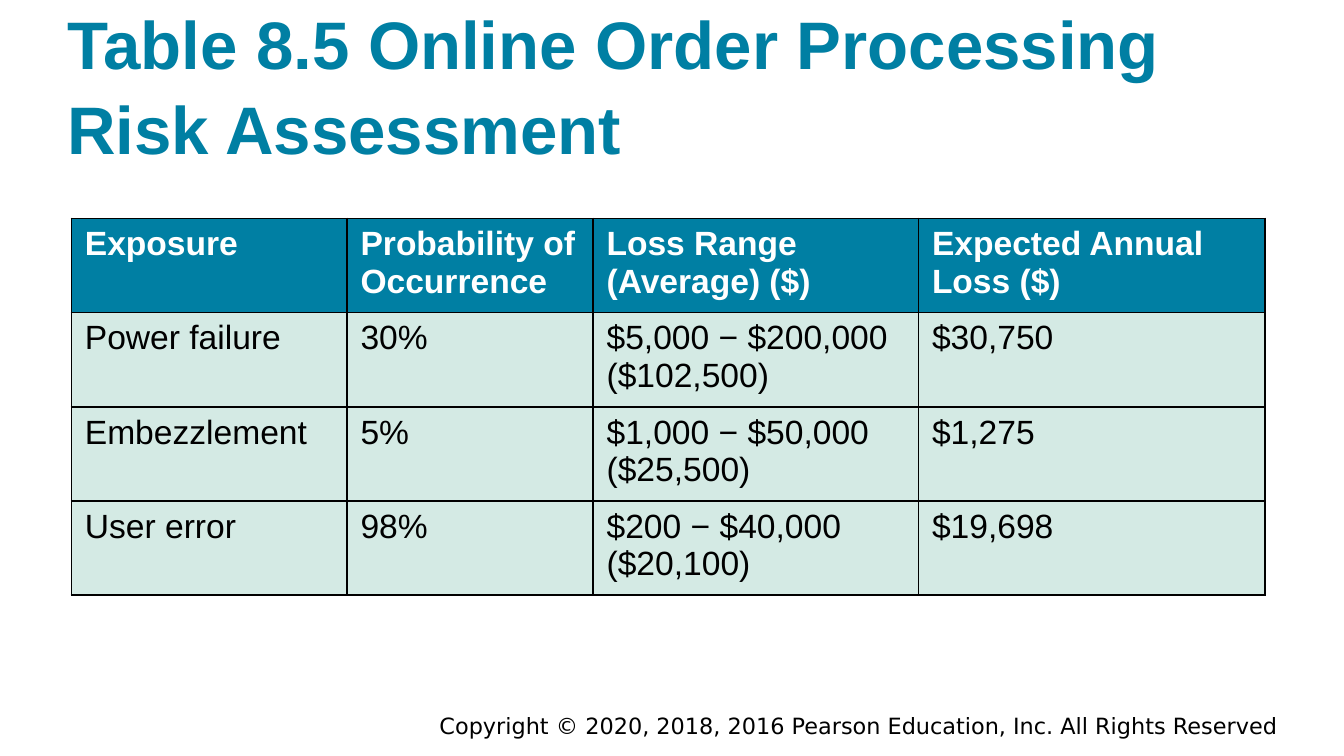
from pptx import Presentation
from pptx.dml.color import RGBColor
from pptx.enum.text import MSO_ANCHOR as Anchor, MSO_AUTO_SIZE as AutoSize, PP_ALIGN as Align
from pptx.oxml import parse_xml
from pptx.oxml.ns import nsdecls
from pptx.util import Cm, Pt


class Theme:
    teal = RGBColor.from_string("007FA3")
    mint = RGBColor.from_string("D4EAE4")
    white = RGBColor.from_string("FFFFFF")
    black = RGBColor.from_string("000000")
    title = {"name": "Arial", "size": Pt(36), "bold": True}
    header = {"name": "Arial", "size": Pt(18), "bold": True}
    body = {"name": "Arial", "size": Pt(18), "bold": False}
    copyright = {"name": "DejaVu Sans", "size": Pt(12), "bold": False}


def style_text(paragraph, font_values, color):
    for name, value in font_values.items():
        setattr(paragraph.font, name, value)
    paragraph.font.color.rgb = color


def add_borders(cell):
    properties = cell._tc.get_or_add_tcPr()
    for position, side in enumerate(("lnL", "lnR", "lnT", "lnB")):
        border = parse_xml(
            f'<a:{side} {nsdecls("a")} w="{Pt(1)}"><a:solidFill>'
            f'<a:srgbClr val="{Theme.black}"/></a:solidFill></a:{side}>'
        )
        properties.insert(position, border)


presentation = Presentation()
presentation.slide_width = Cm(25.4)
presentation.slide_height = Cm(14.29)
slide = presentation.slides.add_slide(presentation.slide_layouts[5])

title = slide.shapes.title
title_position = {"left": Cm(1.27), "top": Cm(0.1), "width": Cm(22.86), "height": Cm(3.07)}
for name, value in title_position.items():
    setattr(title, name, value)
title_format = {
    "text": "Table 8.5 Online Order Processing Risk Assessment",
    "auto_size": AutoSize.NONE,
    "vertical_anchor": Anchor.BOTTOM,
    "margin_left": 0,
    "margin_right": 0,
    "margin_top": 0,
    "margin_bottom": 0,
}
for name, value in title_format.items():
    setattr(title.text_frame, name, value)
paragraph = title.text_frame.paragraphs[0]
paragraph.alignment = Align.LEFT
paragraph.line_spacing = 1.05
style_text(paragraph, Theme.title, Theme.teal)

risk_rows = [
    ["Exposure", "Probability of Occurrence", "Loss Range (Average) ($)", "Expected Annual Loss ($)"],
    ["Power failure", "30%", "$5,000 − $200,000 ($102,500)", "$30,750"],
    ["Embezzlement", "5%", "$1,000 − $50,000 ($25,500)", "$1,275"],
    ["User error", "98%", "$200 − $40,000 ($20,100)", "$19,698"],
]
column_widths = [Cm(5.21), Cm(4.65), Cm(6.15), Cm(6.55)]
row_height = Cm(1.78)
table = slide.shapes.add_table(
    len(risk_rows), len(column_widths), Cm(1.35), Cm(4.13),
    sum(column_widths), row_height * len(risk_rows),
).table
for column, width in zip(table.columns, column_widths):
    column.width = width

for row_index, values in enumerate(risk_rows):
    table.rows[row_index].height = row_height
    is_header = row_index == 0
    for column_index, value in enumerate(values):
        cell = table.cell(row_index, column_index)
        cell.text = value
        cell.fill.solid()
        cell.fill.fore_color.rgb = Theme.teal if is_header else Theme.mint
        add_borders(cell)
        style_text(
            cell.text_frame.paragraphs[0],
            Theme.header if is_header else Theme.body,
            Theme.white if is_header else Theme.black,
        )

copyright_box = slide.shapes.add_textbox(Cm(6.2), Cm(13.34), Cm(18.21), Cm(0.76))
copyright_box.text_frame.word_wrap = True
paragraph = copyright_box.text_frame.paragraphs[0]
paragraph.text = "Copyright © 2020, 2018, 2016 Pearson Education, Inc. All Rights Reserved"
paragraph.alignment = Align.RIGHT
style_text(paragraph, Theme.copyright, Theme.black)

presentation.save("out.pptx")
